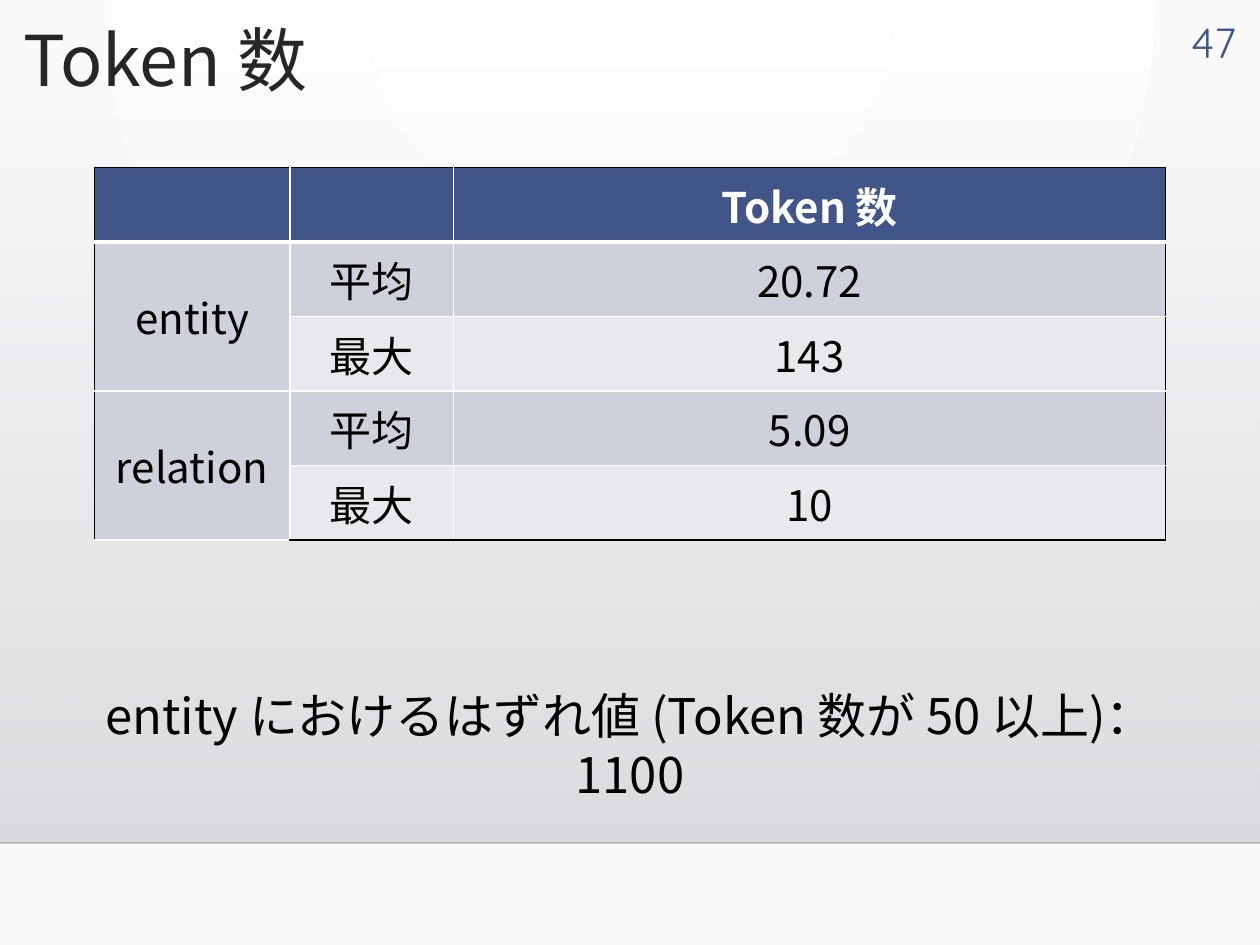
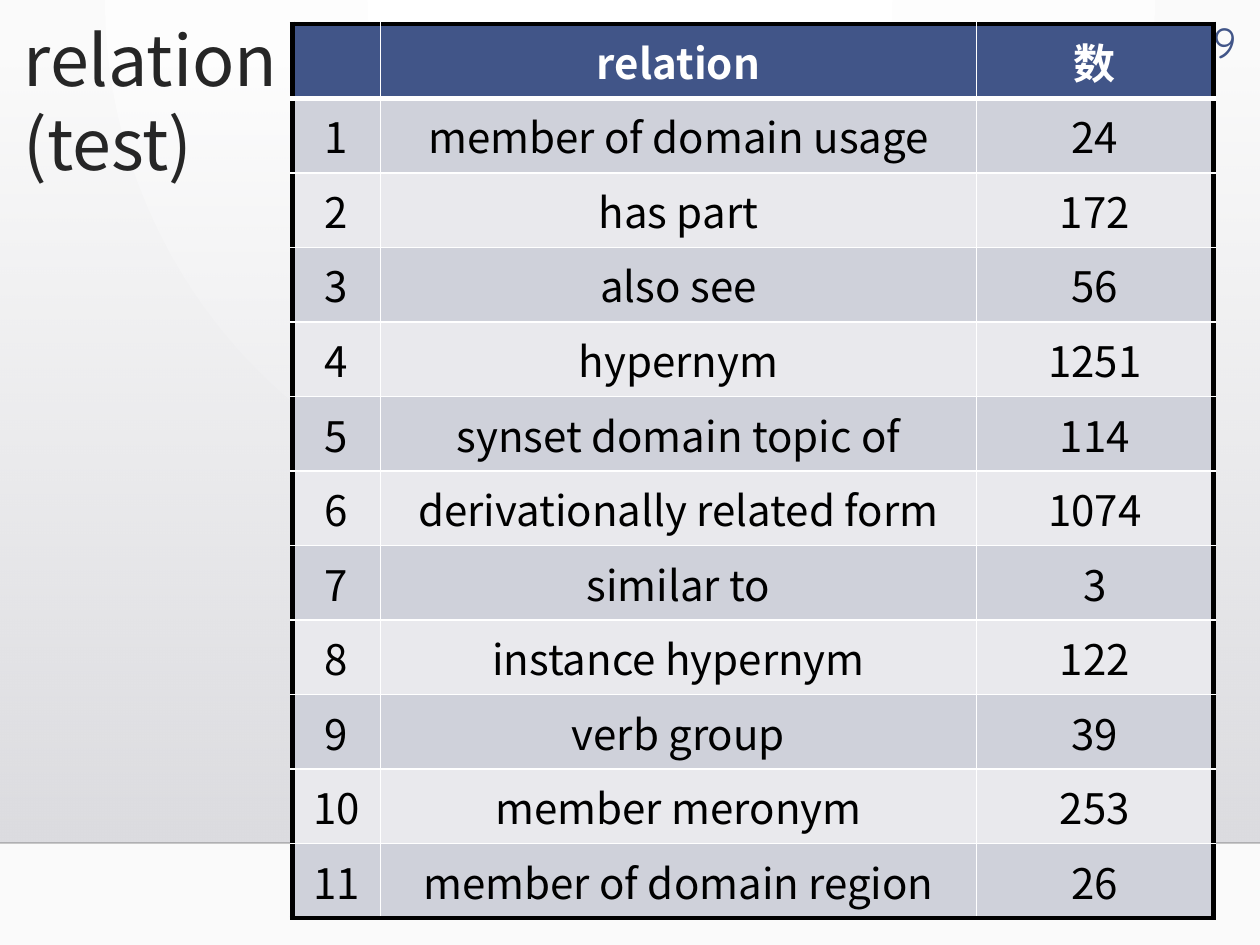
from lxml import etree
from pptx import Presentation
from pptx.dml.color import RGBColor
from pptx.enum import shapes, text
from pptx.oxml import ns
from pptx.util import Pt

SANS = "Noto Sans CJK JP"
NUMBER_FONT = "Quicksand"
NAVY, WHITE, BLACK, TITLE_GREY = "415588", "FFFFFF", "000000", "262626"
ROW_FILLS = ("E9E9ED", "CFD1DA")
SLIDE_W, SLIDE_H = 720, 540
BAND_TOP, BAND_BOTTOM = 36.7, 481.7
ROW_H = 42.6

TOKEN_ROWS = [
    ("", "", "Token 数"),
    ("entity", "平均", "20.72"),
    ("", "最大", "143"),
    ("relation", "平均", "5.09"),
    ("", "最大", "10"),
]
RELATION_COUNTS = [
    ("member of domain usage", 24),
    ("has part", 172),
    ("also see", 56),
    ("hypernym", 1251),
    ("synset domain topic of", 114),
    ("derivationally related form", 1074),
    ("similar to", 3),
    ("instance hypernym", 122),
    ("verb group", 39),
    ("member meronym", 253),
    ("member of domain region", 26),
]


def rgb(hex_code):
    """Turn a hex string into a colour."""
    return RGBColor.from_string(hex_code)


def add_xml(parent, tag, **attributes):
    """Append a DrawingML element to parent and return it."""
    return etree.SubElement(parent, ns.qn(tag), attributes)


def set_opacity(element, percent):
    """Make the first colour inside element partly transparent."""
    colour = element.xpath(".//a:srgbClr")[0]
    add_xml(colour, "a:alpha", val=str(percent * 1000))


def set_gradient(fill, start, end):
    """Give a fill a gradient that runs downwards."""
    fill.gradient()
    fill.gradient_angle = 270
    for stop, colour in zip(fill.gradient_stops, (start, end)):
        stop.color.rgb = rgb(colour)


def write(frame, words, size=24, font=SANS, color=BLACK, bold=False,
          align=text.PP_ALIGN.LEFT):
    """Write one formatted paragraph into a text frame."""
    paragraph = frame.paragraphs[0]
    paragraph.text = words
    paragraph.alignment = align
    for run in paragraph.runs:
        run.font.size = Pt(size)
        run.font.name = font
        run.font.bold = bold
        run.font.color.rgb = rgb(color)
        add_xml(run.font._element, "a:ea", typeface=font)


def add_text(slide, words, left, top, width, height, **style):
    """Add a wrapping text box."""
    frame = slide.shapes.add_textbox(
        Pt(left), Pt(top), Pt(width), Pt(height)).text_frame
    frame.word_wrap = True
    write(frame, words, **style)


def add_backdrop(slide):
    """Draw the round glow, the grey band and its lower edge."""
    set_gradient(slide.background.fill, WHITE, "FAFAFA")
    linear = slide.element.xpath("./p:cSld/p:bg//a:lin")[0]
    gradient = linear.getparent()
    gradient.remove(linear)
    glow = add_xml(gradient, "a:path", path="circle")
    add_xml(glow, "a:fillToRect", l="43000", t="0", r="43000", b="100000")

    band = slide.shapes.add_shape(
        shapes.MSO_SHAPE.RECTANGLE, 0, Pt(BAND_TOP),
        Pt(SLIDE_W), Pt(BAND_BOTTOM - BAND_TOP))
    band.shadow.inherit = False
    set_gradient(band.fill, "DCDCE0", "DEDEE2")
    set_opacity(band.element, 0)
    band.line.fill.background()

    edge = slide.shapes.add_connector(
        shapes.MSO_CONNECTOR.STRAIGHT, 0, Pt(BAND_BOTTOM),
        Pt(SLIDE_W), Pt(BAND_BOTTOM))
    edge.line.color.rgb = rgb("000001")
    edge.line.width = Pt(1)
    set_opacity(edge.element, 20)
    add_xml(edge.element.spPr, "a:effectLst")


def start_slide(deck, number):
    """Add a blank slide with the backdrop and page number."""
    slide = deck.slides.add_slide(deck.slide_layouts[6])
    add_backdrop(slide)
    add_text(slide, number, 661.7, 5.8, 51.8, 30.2, font=NUMBER_FONT,
             color=NAVY, align=text.PP_ALIGN.RIGHT)
    return slide


def add_title(slide, words):
    """Add the slide title."""
    add_text(slide, words, 6.5, 5.8, 612, 149.8, size=40, color=TITLE_GREY)


def set_borders(cell, row, col, last_row, last_col, frame_width):
    """Frame the table in black and rule its inside in white."""
    sides = {
        "a:lnL": col == 0,
        "a:lnR": col == last_col,
        "a:lnT": row == 0,
        "a:lnB": row == last_row,
    }
    properties = cell._tc.get_or_add_tcPr()
    for side, is_outer in sides.items():
        under_header = side == "a:lnB" and row == 0
        width = frame_width if is_outer else 3 if under_header else 1
        border = add_xml(properties, side, w=str(Pt(width)))
        solid = add_xml(border, "a:solidFill")
        add_xml(solid, "a:srgbClr", val=BLACK if is_outer else WHITE)


def add_grid(slide, rows, left, top, col_widths, frame_width, merges=()):
    """Add a banded table with a navy header row."""
    table = slide.shapes.add_table(
        len(rows), len(col_widths), Pt(left), Pt(top),
        Pt(sum(col_widths)), Pt(ROW_H * len(rows))).table
    for column, width in zip(table.columns, col_widths):
        column.width = Pt(width)
    for r, values in enumerate(rows):
        table.rows[r].height = Pt(ROW_H)
        is_header = r == 0
        for c, value in enumerate(values):
            cell = table.cell(r, c)
            set_borders(cell, r, c, len(rows) - 1, len(values) - 1,
                        frame_width)
            cell.fill.solid()
            cell.fill.fore_color.rgb = rgb(NAVY if is_header
                                           else ROW_FILLS[r % 2])
            cell.vertical_anchor = text.MSO_ANCHOR.MIDDLE
            write(cell.text_frame, value, bold=is_header,
                  color=WHITE if is_header else BLACK,
                  align=text.PP_ALIGN.CENTER)
    for first, last in merges:
        table.cell(*first).merge(table.cell(*last))


def build_token_slide(deck):
    """Build the slide on token counts."""
    slide = start_slide(deck, "47")
    add_grid(slide, TOKEN_ROWS, 54, 95.8, (111.6, 93.6, 406.8), 1,
             merges=[((1, 0), (2, 0)), ((3, 0), (4, 0))])
    add_title(slide, "Token 数")
    add_text(slide, "entity におけるはずれ値 (Token 数が 50 以上)：1100",
             30.2, 388, 659.6, 41, size=28, align=text.PP_ALIGN.CENTER)


def build_relation_slide(deck):
    """Build the slide on relations in the test set."""
    slide = start_slide(deck, "49")
    rows = [("", "relation", "数")]
    rows += [(str(rank), name, str(count))
             for rank, (name, count) in enumerate(RELATION_COUNTS, 1)]
    add_grid(slide, rows, 167, 13.7, (50.4, 340.6, 135.4), 3)
    add_title(slide, "relation\n(test)")


def main():
    """Build and save the deck."""
    deck = Presentation()
    deck.slide_width, deck.slide_height = Pt(SLIDE_W), Pt(SLIDE_H)
    build_token_slide(deck)
    build_relation_slide(deck)
    deck.save("out.pptx")


if __name__ == "__main__":
    main()
